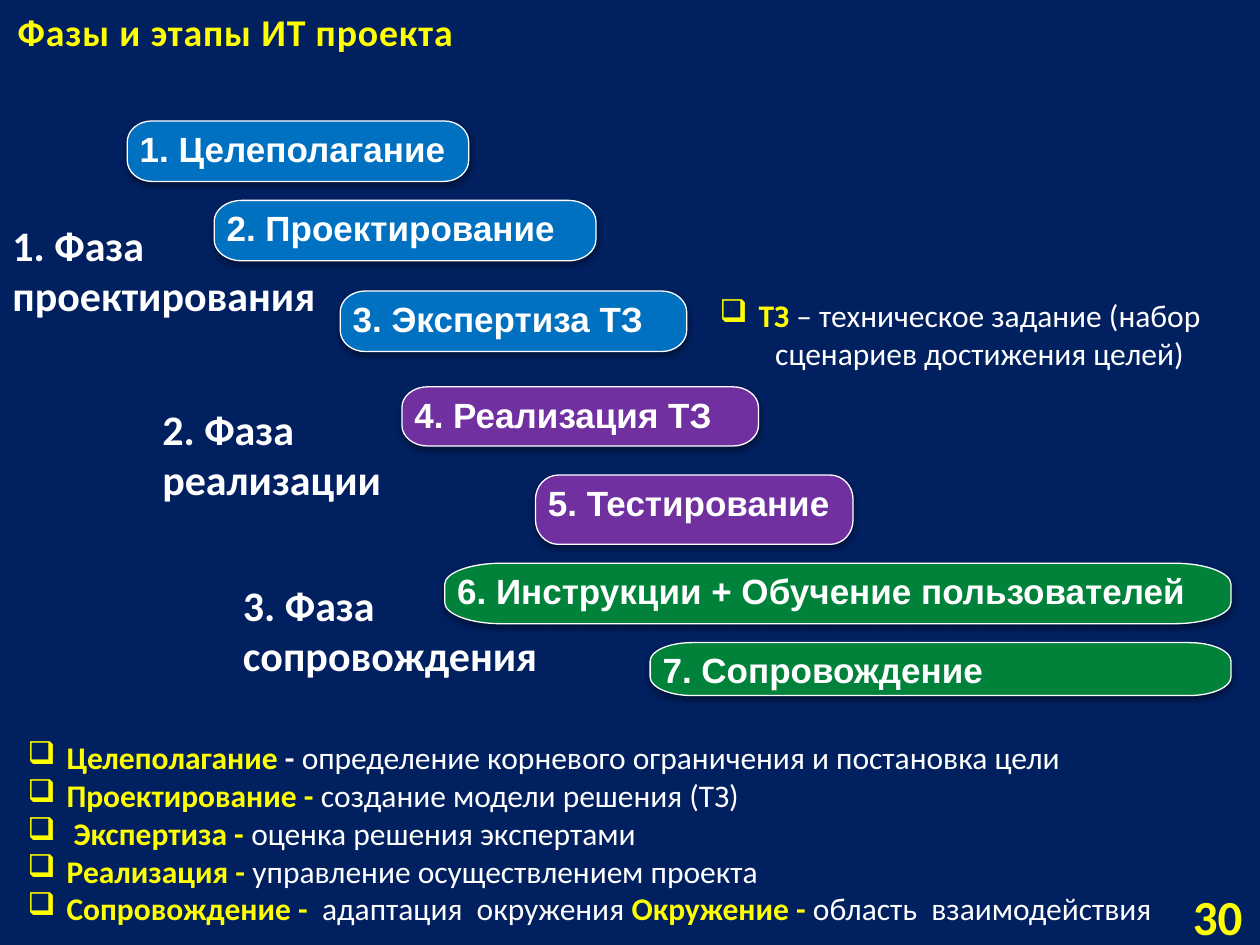
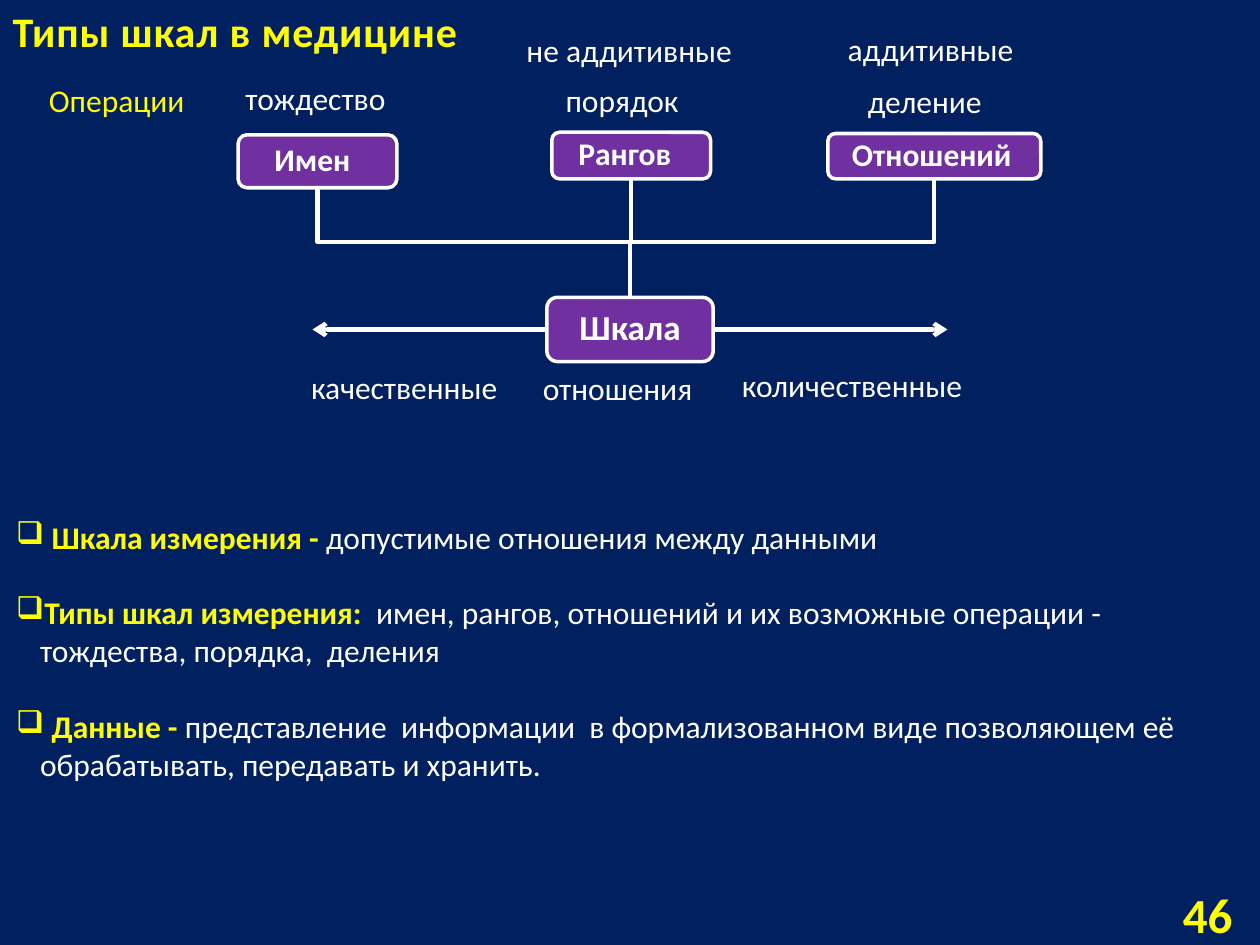
from dataclasses import dataclass

from lxml import etree
from pptx import Presentation
from pptx import util as u
from pptx.dml.color import RGBColor
from pptx.enum import shapes, text
from pptx.oxml.ns import qn


@dataclass(frozen=True)
class Theme:
    background: str = "002060"
    accent: str = "FFFF00"
    white: str = "FFFFFF"
    design: str = "0070C0"
    build: str = "7030A0"
    support: str = "00823B"
    body_font: str = "Calibri"
    stage_font: str = "Arial"
    body_size: float = 18
    stage_size: float = 20
    phase_size: float = 24
    number_size: float = 28


THEME = Theme()
ALIGN = text.PP_ALIGN
ANCHOR = text.MSO_ANCHOR


# Text helpers
def color(value):
    return RGBColor.from_string(value)


def style_font(font, size=THEME.body_size, fill=THEME.white, bold=False,
               name=THEME.body_font):
    font.size, font.bold, font.name = u.Pt(size), bold, name
    font.color.rgb = color(fill)


def style_runs(frame, align=ALIGN.LEFT, **font_style):
    for paragraph in frame.paragraphs:
        paragraph.alignment = align
        for run in paragraph.runs:
            style_font(run.font, **font_style)


def add_label(slide, words, left, top, width, height, **style):
    box = slide.shapes.add_textbox(*map(u.Inches, (left, top, width, height)))
    box.text_frame.word_wrap = True
    box.text_frame.text = words
    style_runs(box.text_frame, **style)
    return box


def add_bullets(slide, items, left, top, width, height, indent,
                align=ALIGN.LEFT, gap=0):
    """Each item is a list of (words, colour, bold) segments."""
    frame = add_label(slide, "", left, top, width, height).text_frame
    for index, segments in enumerate(items):
        paragraph = frame.add_paragraph() if index else frame.paragraphs[0]
        paragraph.alignment = align
        paragraph.space_after = u.Pt(gap)
        properties = paragraph._p.get_or_add_pPr()
        properties.set("marL", str(u.Inches(indent)))
        properties.set("indent", str(-u.Inches(indent)))
        # In Wingdings the letter q is the shadowed square
        etree.SubElement(properties, qn("a:buFont"), typeface="Wingdings", charset="2")
        etree.SubElement(properties, qn("a:buChar"), char="q")
        for words, fill, bold in segments:
            run = paragraph.add_run()
            run.text = words
            style_font(run.font, fill=fill, bold=bold)


def term(words):
    return words, THEME.accent, True


def plain(words):
    return words, THEME.white, False


# Shared slide parts
def start_slide(presentation, title, title_box, title_size):
    slide = presentation.slides.add_slide(presentation.slide_layouts[5])
    shape = slide.shapes.title
    shape.left, shape.top, shape.width, shape.height = map(u.Inches, title_box)
    frame = shape.text_frame
    frame.text = title
    frame.auto_size = text.MSO_AUTO_SIZE.NONE
    frame.vertical_anchor = ANCHOR.BOTTOM
    style_runs(frame, size=title_size, fill=THEME.accent, bold=True)
    frame.paragraphs[0].runs[0]._r.get_or_add_rPr().set("spc", "50")
    return slide


def style_number(shape, number):
    frame = shape.text_frame
    frame.text = number
    frame.vertical_anchor = ANCHOR.MIDDLE
    style_runs(frame, size=THEME.number_size, fill=THEME.accent, bold=True,
               align=ALIGN.RIGHT)


# Stage plates with elliptical corners
def add_soft_shadow(shape):
    effects = etree.SubElement(shape._element.spPr, qn("a:effectLst"))
    shadow = etree.SubElement(effects, qn("a:outerShdw"), blurRad=str(u.Pt(4)),
                              dist=str(u.Pt(2)), dir="5400000", rotWithShape="0")
    black = etree.SubElement(shadow, qn("a:srgbClr"), val="000000")
    etree.SubElement(black, qn("a:alpha"), val="40000")


def round_corner(line_to, start, corner):
    """Turn a line segment into a curve that bends towards the corner."""
    end = [int(line_to[0].get(axis)) for axis in "xy"]
    curve = etree.Element(qn("a:cubicBezTo"))
    for anchor in (start, end):
        x, y = (round(a + 0.55 * (c - a)) for a, c in zip(anchor, corner))
        etree.SubElement(curve, qn("a:pt"), x=str(x), y=str(y))
    etree.SubElement(curve, qn("a:pt"), x=str(end[0]), y=str(end[1]))
    line_to.getparent().replace(line_to, curve)


def add_stage(slide, words, fill, left, top, width, height):
    left, top, width, height = map(u.Inches, (left, top, width, height))
    right, bottom = width, height
    near_x, near_y = round(0.072 * width), round(0.35 * height)
    far_x, far_y = width - near_x, height - near_y
    points = [(near_x, bottom), (far_x, bottom), (right, far_y), (right, near_y),
              (far_x, 0), (near_x, 0), (0, near_y), (0, far_y), (near_x, bottom)]
    corners = [(right, bottom), (right, 0), (0, 0), (0, bottom)]
    builder = slide.shapes.build_freeform(*points[0])
    builder.add_line_segments(points[1:], close=True)
    shape = builder.convert_to_shape(left, top)
    segments = list(shape._element.iter(qn("a:lnTo")))
    for index, corner in enumerate(corners):
        round_corner(segments[2 * index + 1], points[2 * index + 1], corner)

    shape.fill.solid()
    shape.fill.fore_color.rgb = color(fill)
    shape.line.color.rgb = color(THEME.white)
    shape.line.width = u.Pt(0.75)
    add_soft_shadow(shape)
    frame = shape.text_frame
    frame.text = words
    frame.word_wrap = True
    frame.vertical_anchor = ANCHOR.TOP
    style_runs(frame, size=THEME.stage_size, bold=True, name=THEME.stage_font)


# Scale diagram
def add_scale_box(slide, words, left, top, width, height, size=THEME.body_size,
                  right_inset=0.03):
    shape = slide.shapes.add_shape(shapes.MSO_SHAPE.ROUNDED_RECTANGLE,
                                   *map(u.Inches, (left, top, width, height)))
    shape.shadow.inherit = False
    shape.fill.solid()
    shape.fill.fore_color.rgb = color(THEME.build)
    shape.line.color.rgb = color(THEME.white)
    shape.line.width = u.Pt(2)
    frame = shape.text_frame
    frame.margin_left = frame.margin_top = frame.margin_bottom = u.Inches(0.03)
    frame.margin_right = u.Inches(right_inset)
    frame.vertical_anchor = ANCHOR.MIDDLE
    frame.text = words
    frame.paragraphs[0].line_spacing = 0.9
    style_runs(frame, size=size, bold=True, align=ALIGN.CENTER)
    return shape


def style_link(link):
    link.line.color.rgb = color(THEME.white)
    link.line.width = u.Pt(2.5)
    etree.SubElement(link._element.spPr, qn("a:effectLst"))


def add_branch(slide, kind, scale, bus):
    """Elbow from the bottom of a kind to the top of the scale, bent at bus."""
    link = slide.shapes.add_connector(shapes.MSO_CONNECTOR.ELBOW, 0, 0, 0, 0)
    link.begin_connect(kind, 2)
    link.end_connect(scale, 0)
    start_x, start_y = kind.left + kind.width // 2, kind.top + kind.height
    end_x, end_y = scale.left + scale.width // 2, scale.top
    run, drop = abs(end_x - start_x), end_y - start_y
    # A quarter turn makes the first leg vertical
    frame = link._element.spPr.find(qn("a:xfrm"))
    for name in ("flipH", "flipV"):
        frame.attrib.pop(name, None)
    frame.set("rot", "5400000")
    if end_x > start_x:
        frame.set("flipV", "1")
    link.left, link.top = (start_x + end_x - drop) // 2, (start_y + end_y - run) // 2
    link.width, link.height = drop, run
    geometry = link._element.spPr.find(qn("a:prstGeom"))
    guides = geometry.find(qn("a:avLst"))
    bend = round(100000 * (u.Inches(bus) - start_y) / drop)
    etree.SubElement(guides, qn("a:gd"), name="adj1", fmla=f"val {bend}")
    style_link(link)


def add_arrow(slide, tip, scale, site):
    axis = scale.top + scale.height // 2
    link = slide.shapes.add_connector(shapes.MSO_CONNECTOR.STRAIGHT,
                                      u.Inches(tip), axis, u.Inches(5), axis)
    link.end_connect(scale, site)
    style_link(link)
    etree.SubElement(link.line._get_or_add_ln(), qn("a:headEnd"), type="arrow")


def build_phases(presentation):
    slide = start_slide(presentation, "Фазы и этапы ИТ проекта",
                        (0.04, 0, 4.7, 0.48), 21.6)
    # Stages, coloured by phase
    for stage in (
        ("1. Целеполагание", THEME.design, 1.01, 0.96, 2.71, 0.48),
        ("2. Проектирование", THEME.design, 1.7, 1.59, 3.03, 0.48),
        ("3. Экспертиза ТЗ", THEME.design, 2.7, 2.31, 2.75, 0.48),
        ("4. Реализация ТЗ", THEME.build, 3.19, 3.07, 2.83, 0.47),
        ("5. Тестирование", THEME.build, 4.25, 3.77, 2.52, 0.55),
        ("6. Инструкции + Обучение пользователей", THEME.support, 3.53, 4.47, 6.24, 0.48),
        ("7. Сопровождение", THEME.support, 5.16, 5.1, 4.61, 0.42),
    ):
        add_stage(slide, *stage)
    # Phase names
    for phase in (
        ("1. Фаза\nпроектирования", 0, 1.69, 2.95, 1.31),
        ("2. Фаза реализации", 1.19, 3.15, 2.4, 0.91),
        ("3. Фаза сопровождения", 1.83, 4.55, 2.87, 0.57),
    ):
        add_label(slide, *phase, size=THEME.phase_size, bold=True)
    # Slide number plate
    plate = slide.shapes.add_shape(shapes.MSO_SHAPE.RECTANGLE,
                                   *map(u.Inches, (8.94, 7.07, 1.02, 0.4)))
    plate.shadow.inherit = False
    plate.fill.solid()
    plate.fill.fore_color.rgb = color(THEME.background)
    plate.line.fill.background()
    style_number(plate, "30")
    # Definitions
    add_bullets(slide, [[term("ТЗ"), plain(" – техническое задание (набор сценариев "
                                           "достижения целей)")]],
                5.47, 2.3, 4.3, 0.71, indent=0.31, align=ALIGN.CENTER)
    add_bullets(slide, [
        [term("Целеполагание "), ("- ", THEME.white, True),
         plain("определение корневого ограничения и постановка цели")],
        [term("Проектирование - "), plain("создание модели решения (ТЗ)")],
        [term(" Экспертиза - "), plain("оценка решения экспертами")],
        [term("Реализация - "), plain("управление осуществлением проекта")],
        [term("Сопровождение -  "), plain("адаптация  окружения "),
         term("Окружение - "), plain("область  взаимодействия")],
    ], 0.12, 5.81, 9.21, 1.62, indent=0.31)


def build_scales(presentation):
    slide = start_slide(presentation, "Типы шкал в медицине", (0, 0.1, 4.08, 0.39), 24)
    style_number(add_label(slide, "", 9.26, 7.05, 0.62, 0.4), "46")
    # Definitions
    add_bullets(slide, [
        [term(" Шкала измерения - "), plain("допустимые отношения между данными")],
        [term("Типы шкал измерения:  "),
         plain("имен, рангов, отношений и их возможные операции - "
               "тождества, порядка,  деления")],
        [term(" Данные - "),
         plain("представление  информации  в формализованном виде позволяющем её "
               "обрабатывать, передавать и хранить.")],
    ], 0.03, 4.06, 9.89, 2.52, indent=0.19, gap=21.6)
    # Scale, its kinds and the tree between them
    scale = add_scale_box(slide, "Шкала", 4.34, 2.36, 1.32, 0.51, size=20)
    for kind in (
        add_scale_box(slide, "Имен", 1.89, 1.07, 1.26, 0.42, right_inset=0.11),
        add_scale_box(slide, "Рангов", 4.38, 1.05, 1.26, 0.37, right_inset=0.13),
        add_scale_box(slide, "Отношений", 6.57, 1.06, 1.69, 0.36, right_inset=0.07),
    ):
        add_branch(slide, kind, scale, bus=1.92)
    # Arrows to both sides of the scale
    add_arrow(slide, 2.48, scale, 1)
    add_arrow(slide, 7.52, scale, 3)
    # Captions
    for words, left, top, width in (
        ("не аддитивные", 4.08, 0.2, 1.88),
        ("аддитивные", 6.63, 0.19, 1.54),
        ("тождество", 1.85, 0.58, 1.46),
        ("порядок", 4.39, 0.59, 1.21),
        ("деление", 6.79, 0.6, 1.23),
        ("качественные", 2.37, 2.87, 1.88),
        ("отношения", 4.21, 2.88, 1.58),
        ("количественные", 5.79, 2.86, 2.13),
    ):
        add_label(slide, words, left, top, width, 0.4)
    add_label(slide, "Операции", 0.29, 0.59, 1.46, 0.4, fill=THEME.accent)


def main():
    presentation = Presentation()
    presentation.slide_width, presentation.slide_height = u.Inches(10), u.Inches(7.5)
    background = presentation.slide_master.background.fill
    background.solid()
    background.fore_color.rgb = color(THEME.background)
    build_phases(presentation)
    build_scales(presentation)
    presentation.save("out.pptx")


if __name__ == "__main__":
    main()
